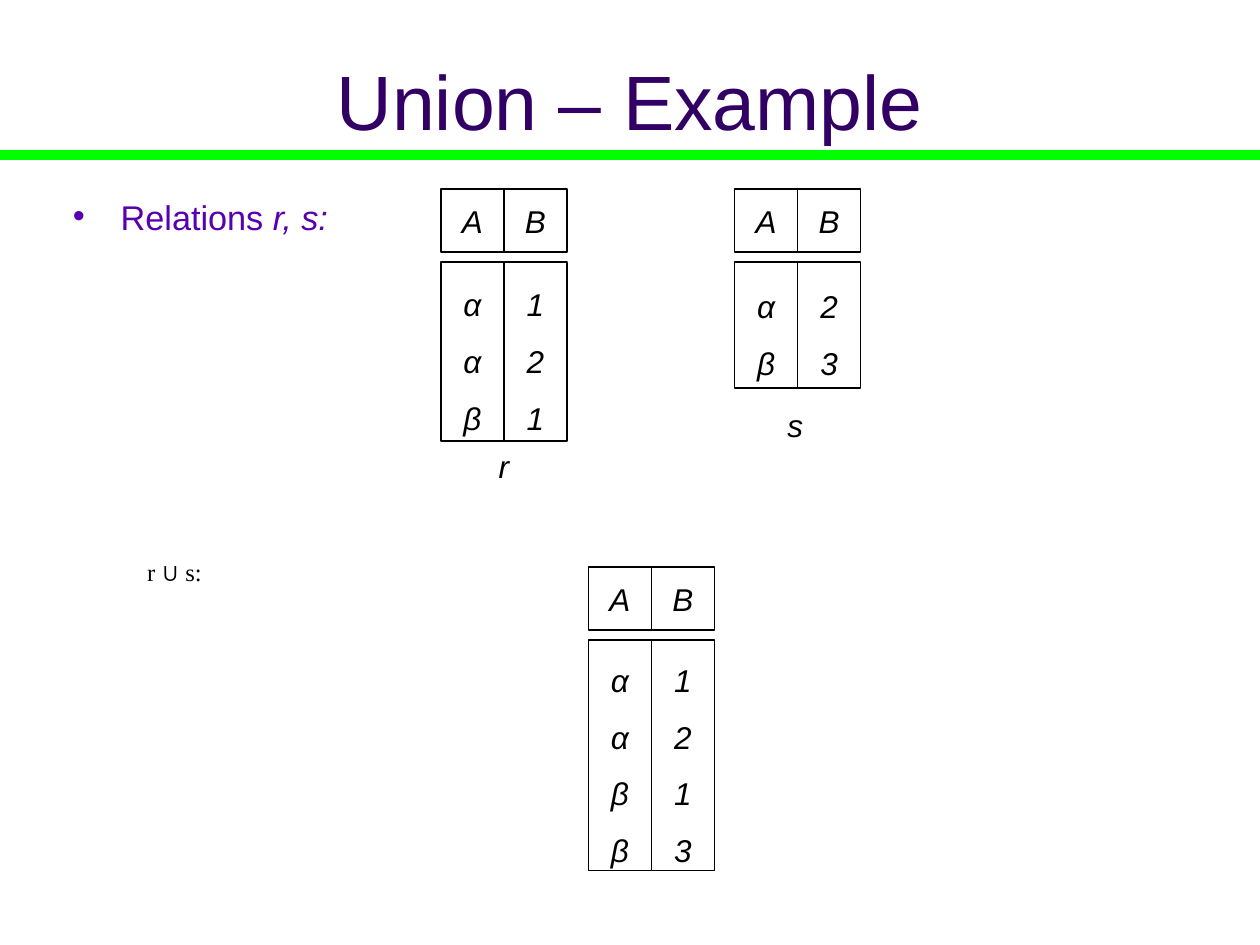
import dataclasses

import lxml.etree
import pptx
import pptx.dml.color
import pptx.enum.shapes
import pptx.enum.text
import pptx.oxml.ns
import pptx.util

Inches = pptx.util.Inches
CENTER = pptx.enum.text.PP_ALIGN.CENTER
MIDDLE = pptx.enum.text.MSO_ANCHOR.MIDDLE


@dataclasses.dataclass(frozen=True)
class Theme:
    title: str = "320064"
    topic: str = "5800B0"
    ink: str = "000000"
    paper: str = "FFFFFF"
    rule: str = "00FF00"
    sans: str = "Arial"
    serif: str = "Times New Roman"
    title_size: float = 44
    topic_size: float = 19.6
    cell_size: float = 18
    formula_size: float = 14
    rule_width: float = 6.25
    border_width: float = 0.75


THEME = Theme()
CELL = 0.5          # width of a column and height of a heading
HEADING_STEP = 0.58  # from the top of the headings to the top of the values


def rgb(color):
    return pptx.dml.color.RGBColor.from_string(color)


def add_run(paragraph, text, size, color, font=THEME.sans, italic=False):
    run = paragraph.add_run()
    run.text = text
    run.font.size = pptx.util.Pt(size)
    run.font.name = font
    run.font.italic = italic
    run.font.color.rgb = rgb(color)


def add_drawing_tag(parent, tag, **attributes):
    return lxml.etree.SubElement(parent, pptx.oxml.ns.qn(tag), attributes)


def add_text_frame(slide, left, top, width, height):
    frame = slide.shapes.add_textbox(*map(Inches, (left, top, width, height))).text_frame
    frame.word_wrap = True
    return frame


def add_heading(slide, left, top, width, height):
    """Title with the green rule below it."""
    title = slide.shapes.title
    title.left, title.top, title.width, title.height = map(
        Inches, (left, top, width, height))
    frame = title.text_frame
    frame.vertical_anchor = MIDDLE
    frame.margin_top = Inches(0.13)
    frame.paragraphs[0].alignment = CENTER
    add_run(frame.paragraphs[0], "Union – Example", THEME.title_size, THEME.title)

    rule_y = Inches(1.23)
    rule = slide.shapes.add_connector(
        pptx.enum.shapes.MSO_CONNECTOR.STRAIGHT, 0, rule_y, Inches(10), rule_y)
    rule.line.color.rgb = rgb(THEME.rule)
    rule.line.width = pptx.util.Pt(THEME.rule_width)
    add_drawing_tag(rule._element.spPr, "a:effectLst")


def add_topic(slide, left, top, width, height):
    """Bulleted line that introduces the two relations."""
    topic = add_text_frame(slide, left, top, width, height).paragraphs[0]
    topic.line_spacing = 0.7
    properties = topic._p.get_or_add_pPr()
    properties.set("marL", str(Inches(0.38)))
    properties.set("indent", str(Inches(-0.38)))
    bullet_color = add_drawing_tag(properties, "a:buClr")
    add_drawing_tag(bullet_color, "a:srgbClr", val=THEME.topic)
    add_drawing_tag(properties, "a:buFont", typeface=THEME.sans)
    add_drawing_tag(properties, "a:buChar", char="•")
    add_run(topic, "Relations ", THEME.topic_size, THEME.topic)
    add_run(topic, "r, s:", THEME.topic_size, THEME.topic, italic=True)


def add_formula(slide, left, top, width, height):
    """Name of the union."""
    formula = add_text_frame(slide, left, top, width, height).paragraphs[0]
    formula.line_spacing = 0.8
    formula._p.get_or_add_pPr().set("marL", str(Inches(0.24)))
    for text, font in (("r ", THEME.serif), ("∪", THEME.sans), (" s:", THEME.serif)):
        add_run(formula, text, THEME.formula_size, THEME.ink, font)


def add_cell(slide, left, top, height, lines, spacing=None):
    """Bordered box with one centred line per value."""
    cell = slide.shapes.add_shape(
        pptx.enum.shapes.MSO_SHAPE.RECTANGLE,
        Inches(left), Inches(top), Inches(CELL), Inches(height))
    cell.shadow.inherit = False
    cell.fill.solid()
    cell.fill.fore_color.rgb = rgb(THEME.paper)
    cell.line.color.rgb = rgb(THEME.ink)
    cell.line.width = pptx.util.Pt(THEME.border_width)
    frame = cell.text_frame
    frame.word_wrap = False
    frame.vertical_anchor = MIDDLE
    for index, text in enumerate(lines):
        line = frame.add_paragraph() if index else frame.paragraphs[0]
        line.alignment = CENTER
        line.line_spacing = spacing
        add_run(line, text, THEME.cell_size, THEME.ink, italic=True)


def add_relation(slide, left, top, height, rows):
    """Headings A and B over their columns of values."""
    for column, (name, values) in enumerate(zip("AB", zip(*rows))):
        x = left + column * CELL
        add_cell(slide, x, top, CELL, [name])
        add_cell(slide, x, top + HEADING_STEP, height - HEADING_STEP, values, 1.5)


def add_relation_name(slide, left, top, width, height, name):
    frame = add_text_frame(slide, left, top, width, height)
    frame.word_wrap = False
    frame.vertical_anchor = MIDDLE
    frame.paragraphs[0].alignment = CENTER
    add_run(frame.paragraphs[0], name, THEME.cell_size, THEME.ink, italic=True)


def main():
    deck = pptx.Presentation()
    deck.slide_width, deck.slide_height = Inches(10), Inches(7.5)
    slide = deck.slides.add_slide(deck.slide_layouts.get_by_name("Title Only"))

    add_heading(slide, 0.5, 0.13, 9, 1.25)
    add_topic(slide, 0.48, 1.6, 8.58, 0.36)
    add_formula(slide, 0.83, 4.42, 7.69, 0.36)

    # The two relations and their union
    add_relation(slide, 3.5, 1.5, 2, ["α1", "α2", "β1"])
    add_relation(slide, 5.83, 1.5, 1.58, ["α2", "β3"])
    add_relation_name(slide, 3.86, 3.5, 0.28, 0.4, "r")
    add_relation_name(slide, 6.15, 3.17, 0.32, 0.4, "s")
    add_relation(slide, 4.67, 4.5, 2.41, ["α1", "α2", "β1", "β3"])

    deck.save("out.pptx")


if __name__ == "__main__":
    main()
